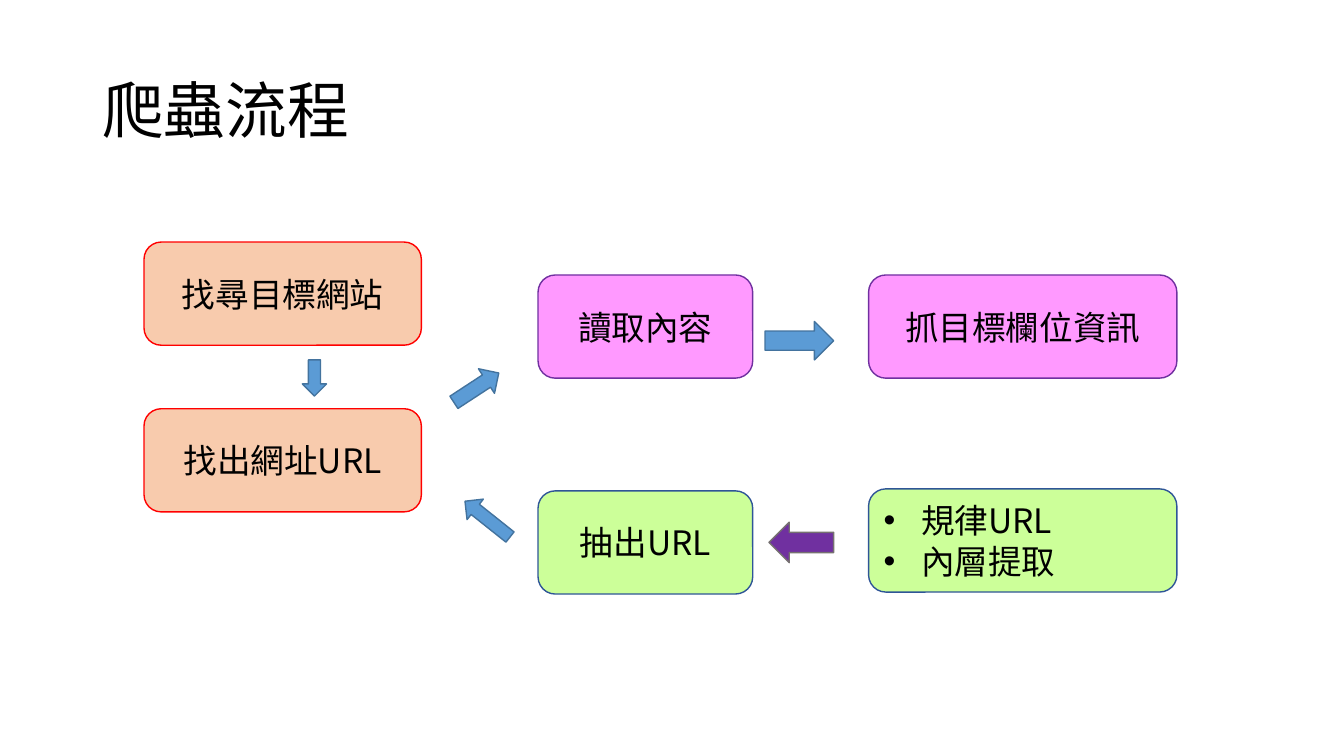
from dataclasses import dataclass

from lxml import etree
from pptx import Presentation
from pptx.dml.color import RGBColor
from pptx.enum.shapes import MSO_SHAPE
from pptx.enum.text import MSO_ANCHOR, PP_ALIGN
from pptx.oxml.ns import qn
from pptx.util import Cm, Pt

ROUNDED = MSO_SHAPE.ROUNDED_RECTANGLE
RIGHT_ARROW = MSO_SHAPE.RIGHT_ARROW
LEFT_ARROW = MSO_SHAPE.LEFT_ARROW
MIDDLE = MSO_ANCHOR.MIDDLE
LEFT = PP_ALIGN.LEFT
CENTER = PP_ALIGN.CENTER


@dataclass(frozen=True)
class Theme:
    """Colours as (fill, line) pairs, fonts and type sizes."""
    text: str = "000000"
    find: tuple = ("F8CBAD", "FF0000")
    read: tuple = ("FF99FF", "7030A0")
    extract: tuple = ("CCFF99", "2F5597")
    arrow: tuple = ("5B9BD5", "43739E")
    return_arrow: tuple = ("7030A0", "767171")
    title_font: str = "Calibri"
    body_font: str = "Noto Sans CJK SC"
    title_size: float = 44
    body_size: float = 24
    line_width: float = 1


@dataclass(frozen=True)
class Box:
    """A rectangle in centimetres."""
    left: float
    top: float
    width: float
    height: float

    def inside(self, left, top, width, height):
        """Return a box placed relative to this one."""
        return Box(self.left + left, self.top + top, width, height)

    def lengths(self):
        """Return the four measures as lengths."""
        return [Cm(value) for value in (self.left, self.top, self.width, self.height)]


THEME = Theme()
STEP_HEIGHT = 2.6
BULLET_INDENT = 0.95


def add_bullet(paragraph):
    """Give a paragraph a hanging round bullet."""
    properties = paragraph._p.get_or_add_pPr()
    properties.set("marL", str(Cm(BULLET_INDENT)))
    properties.set("indent", str(-Cm(BULLET_INDENT)))
    etree.SubElement(properties, qn("a:buFont")).set("typeface", "Arial")
    etree.SubElement(properties, qn("a:buChar")).set("char", "•")


def write_text(shape, text, font=THEME.body_font, size=THEME.body_size,
               align=CENTER, bullets=False, line_spacing=None):
    """Write one paragraph per line of text into a shape."""
    frame = shape.text_frame
    frame.word_wrap = True
    frame.vertical_anchor = MIDDLE
    for index, line in enumerate(text.split("\n")):
        paragraph = frame.add_paragraph() if index else frame.paragraphs[0]
        paragraph.alignment = align
        if line_spacing:
            paragraph.line_spacing = line_spacing
        if bullets:
            add_bullet(paragraph)
        run = paragraph.add_run()
        run.text = line
        run.font.size = Pt(size)
        run.font.color.rgb = RGBColor.from_string(THEME.text)
        run.font.name = font
        east_asian = etree.SubElement(run._r.get_or_add_rPr(), qn("a:ea"))
        east_asian.set("typeface", THEME.body_font)


def add_block(slide, kind, box, colors, rotation=0):
    """Add a filled and outlined preset shape."""
    shape = slide.shapes.add_shape(kind, *box.lengths())
    fill, line = colors
    shape.shadow.inherit = False
    shape.fill.solid()
    shape.fill.fore_color.rgb = RGBColor.from_string(fill)
    shape.line.color.rgb = RGBColor.from_string(line)
    shape.line.width = Pt(THEME.line_width)
    shape.rotation = rotation
    return shape


def add_step(slide, box, text, colors, **text_format):
    """Add a rounded box with the text of one step."""
    write_text(add_block(slide, ROUNDED, box, colors), text, **text_format)


def add_title(slide, box):
    """Add the slide title."""
    title = slide.shapes.add_textbox(*box.lengths())
    write_text(title, "爬蟲流程", font=THEME.title_font, size=THEME.title_size,
               align=LEFT, line_spacing=0.9)


def add_finding(slide, box):
    """Add the two stacked steps that find the address."""
    steps = ("找尋目標網站", "找出網址URL")
    pitch = box.height - STEP_HEIGHT
    for index, text in enumerate(steps):
        place = box.inside(0, index * pitch, box.width, STEP_HEIGHT)
        add_step(slide, place, text, THEME.find)
    add_block(slide, RIGHT_ARROW, box.inside(3.84, 3.12, 0.91, 0.61), THEME.arrow, 90)


def add_loop_arrows(slide, box):
    """Add the slanted arrows between the left column and the two rows."""
    add_block(slide, RIGHT_ARROW, box.inside(0, 0, 1.35, 0.74), THEME.arrow, 326.8)
    add_block(slide, RIGHT_ARROW, box.inside(0.23, 3.35, 1.45, 0.66), THEME.arrow, 218.5)


def add_row(slide, box, texts, colors, first_drop=0, **last_format):
    """Add a narrow step at the left and a wide step at the right of a row."""
    narrow, wide = 5.41, 7.77
    add_step(slide, box.inside(0, first_drop, narrow, box.height), texts[0], colors)
    add_step(slide, box.inside(box.width - wide, 0, wide, box.height), texts[1],
             colors, **last_format)


def add_reading(slide, box):
    """Add the row that reads the content."""
    add_row(slide, box, ("讀取內容", "抓目標欄位資訊"), THEME.read)
    add_block(slide, RIGHT_ARROW, box.inside(5.72, 1.17, 1.73, 0.97), THEME.arrow)


def add_extracting(slide, box):
    """Add the row that extracts further addresses."""
    add_row(slide, box, ("抽出URL", "規律URL\n內層提取"), THEME.extract,
            first_drop=0.05, align=LEFT, bullets=True)
    add_block(slide, LEFT_ARROW, box.inside(5.82, 0.84, 1.63, 1.02), THEME.return_arrow)


def main():
    """Build the slide and save it."""
    presentation = Presentation()
    presentation.slide_width = Cm(33.87)
    presentation.slide_height = Cm(19.05)
    slide = presentation.slides.add_slide(presentation.slide_layouts[6])
    add_title(slide, Box(2.33, 1.01, 29.21, 3.68))
    add_finding(slide, Box(3.63, 6.1, 6.99, 6.8))
    add_loop_arrows(slide, Box(11.33, 9.4, 1.68, 4.01))
    add_reading(slide, Box(13.56, 6.93, 16.1, STEP_HEIGHT))
    add_extracting(slide, Box(13.56, 12.32, 16.1, STEP_HEIGHT))
    presentation.save("out.pptx")


if __name__ == "__main__":
    main()
